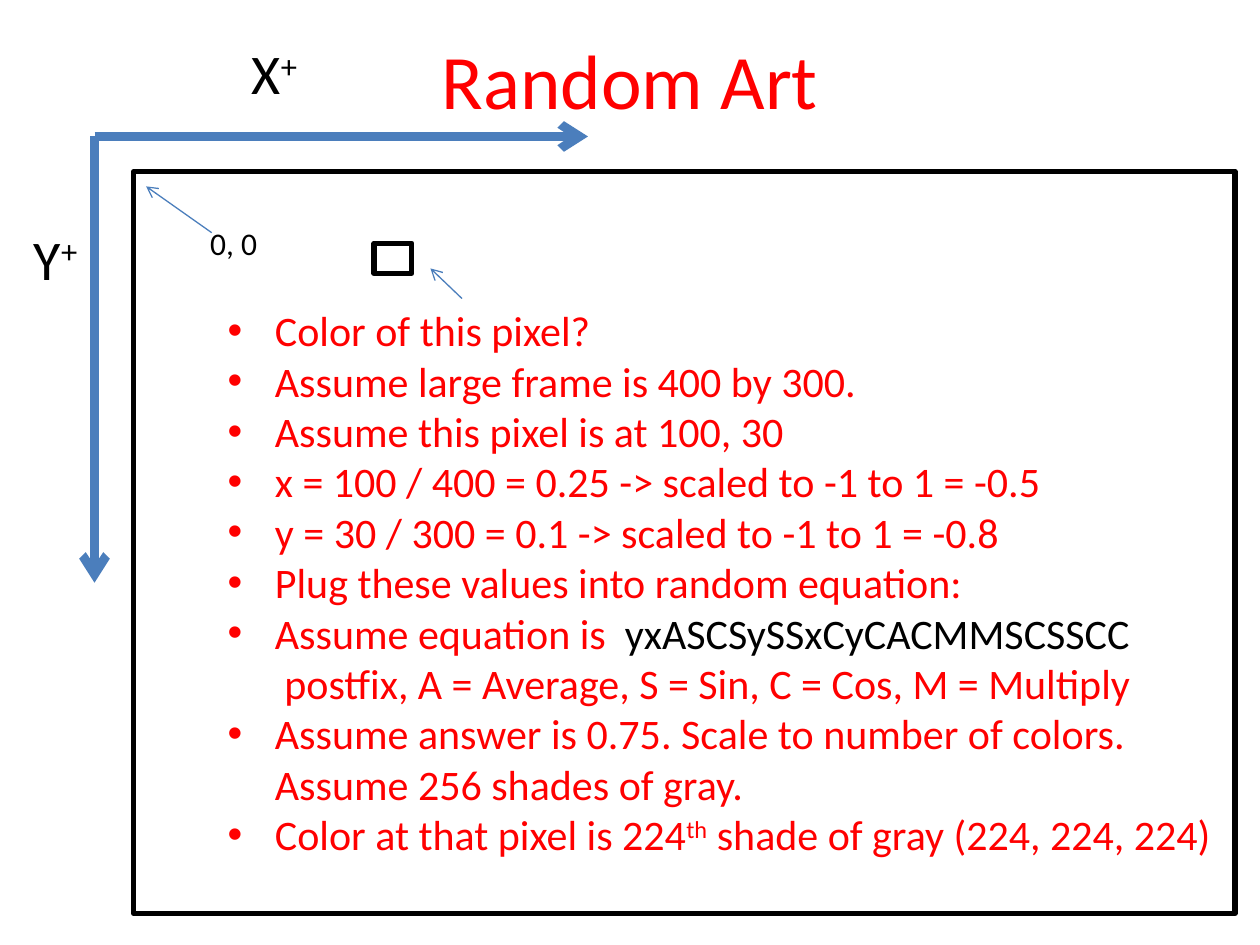
from dataclasses import dataclass

from lxml import etree
from pptx import Presentation
from pptx import util as u
from pptx.dml.color import RGBColor
from pptx.enum import shapes, text
from pptx.oxml import ns


@dataclass(frozen=True)
class Theme:
    font: str = "Calibri"
    red: str = "FF0000"
    black: str = "000000"
    blue: str = "4B7EBC"
    title: int = 44
    axis: int = 32
    body: int = 24
    label: int = 18


theme = Theme()


def write(para, words, size=theme.body, color=theme.red, raised=False):
    """Add words to a paragraph; a newline becomes a line break."""
    for number, line in enumerate(words.split("\n")):
        if number:
            para.add_line_break()
        if not line:
            continue
        span = para.add_run()
        span.text = line
        span.font.name = theme.font
        span.font.size = u.Pt(size)
        span.font.color.rgb = RGBColor.from_string(color)
        if raised:
            span.font._element.set("baseline", "30000")


def add_box(page, left, top, width, height):
    """Add an unwrapped text box that grows with its text."""
    box = page.shapes.add_textbox(u.Pt(left), u.Pt(top), u.Pt(width), u.Pt(height))
    box.text_frame.word_wrap = False
    box.text_frame.auto_size = text.MSO_AUTO_SIZE.SHAPE_TO_FIT_TEXT
    return box.text_frame


deck = Presentation()
deck.slide_width, deck.slide_height = u.Pt(720), u.Pt(540)
page = deck.slides.add_slide(deck.slide_layouts[5])

# Title
title = page.shapes.title
title.left, title.top, title.width, title.height = u.Pt(36), u.Pt(0), u.Pt(648), u.Pt(90)
title.text_frame.vertical_anchor = text.MSO_ANCHOR.MIDDLE
heading = title.text_frame.paragraphs[0]
heading.alignment = text.PP_ALIGN.CENTER
write(heading, "Random Art", size=theme.title)

# Large frame and the sample pixel inside it
for bounds in [(76.5, 98, 629.3, 424), (213.8, 139, 21.6, 17.2)]:
    frame = page.shapes.add_shape(shapes.MSO_SHAPE.RECTANGLE, *map(u.Pt, bounds))
    frame.shadow.inherit = False
    frame.fill.background()
    frame.line.color.rgb = RGBColor.from_string(theme.black)
    frame.line.width = u.Pt(3)

# Worked example: each bullet is a list of (words, format) spans
bullets = [
    [("Color of this pixel?", {})],
    [("Assume large frame is 400 by 300.", {})],
    [("Assume this pixel is at 100, 30", {})],
    [("x = 100 / 400 = 0.25 -> scaled to -1 to 1 = -0.5", {})],
    [("y = 30 / 300 = 0.1 -> scaled to -1 to 1 = -0.8", {})],
    [("Plug these values into random equation:", {})],
    [("Assume equation is  ", {}),
     ("yxASCSySSxCyCACMMSCSSCC\n ", {"color": theme.black}),
     ("postfix, A = Average, S = Sin, C = Cos, M = Multiply", {})],
    [("Assume answer is 0.75. Scale to number of colors.\nAssume 256 shades of gray.", {})],
    [("Color at that pixel is 224", {}), ("th", {"raised": True}),
     (" shade of gray (224, 224, 224)", {})],
]
body = add_box(page, 123, 170.6, 582.5, 327)
indent = u.Pt(27)
for number, spans in enumerate(bullets):
    para = body.add_paragraph() if number else body.paragraphs[0]
    properties = para._p.get_or_add_pPr()
    properties.set("marL", str(indent))
    properties.set("indent", str(-indent))
    etree.SubElement(properties, ns.qn("a:buFont"), typeface="Arial")
    etree.SubElement(properties, ns.qn("a:buChar"), char="•")
    for words, style in spans:
        write(para, words, **style)

# Axis names
for name, left, top in [("X", 136.8, 18.7), ("Y", 12.2, 124.6)]:
    para = add_box(page, left, top, 41.8, 46).paragraphs[0]
    write(para, name, size=theme.axis, color=theme.black)
    write(para, "+", size=theme.axis, color=theme.black, raised=True)

# Origin label
origin = add_box(page, 113, 124.6, 41.8, 29)
write(origin.paragraphs[0], "0, 0", size=theme.label, color=theme.black)

# Arrows: two axes, then pointers to the origin and to the pixel
arrows = [
    (54, 78, 336, 78, 5),
    (54, 78, 54, 333, 5),
    (121, 133, 83.5, 106.5, 0.75),
    (264, 170.6, 246, 153.4, 0.75),
]
for *ends, weight in arrows:
    arrow = page.shapes.add_connector(shapes.MSO_CONNECTOR.STRAIGHT, *map(u.Pt, ends))
    arrow.line.color.rgb = RGBColor.from_string(theme.blue)
    arrow.line.width = u.Pt(weight)
    etree.SubElement(arrow.line._get_or_add_ln(), ns.qn("a:tailEnd"), type="arrow")
    etree.SubElement(arrow._element.spPr, ns.qn("a:effectLst"))

deck.save("out.pptx")
